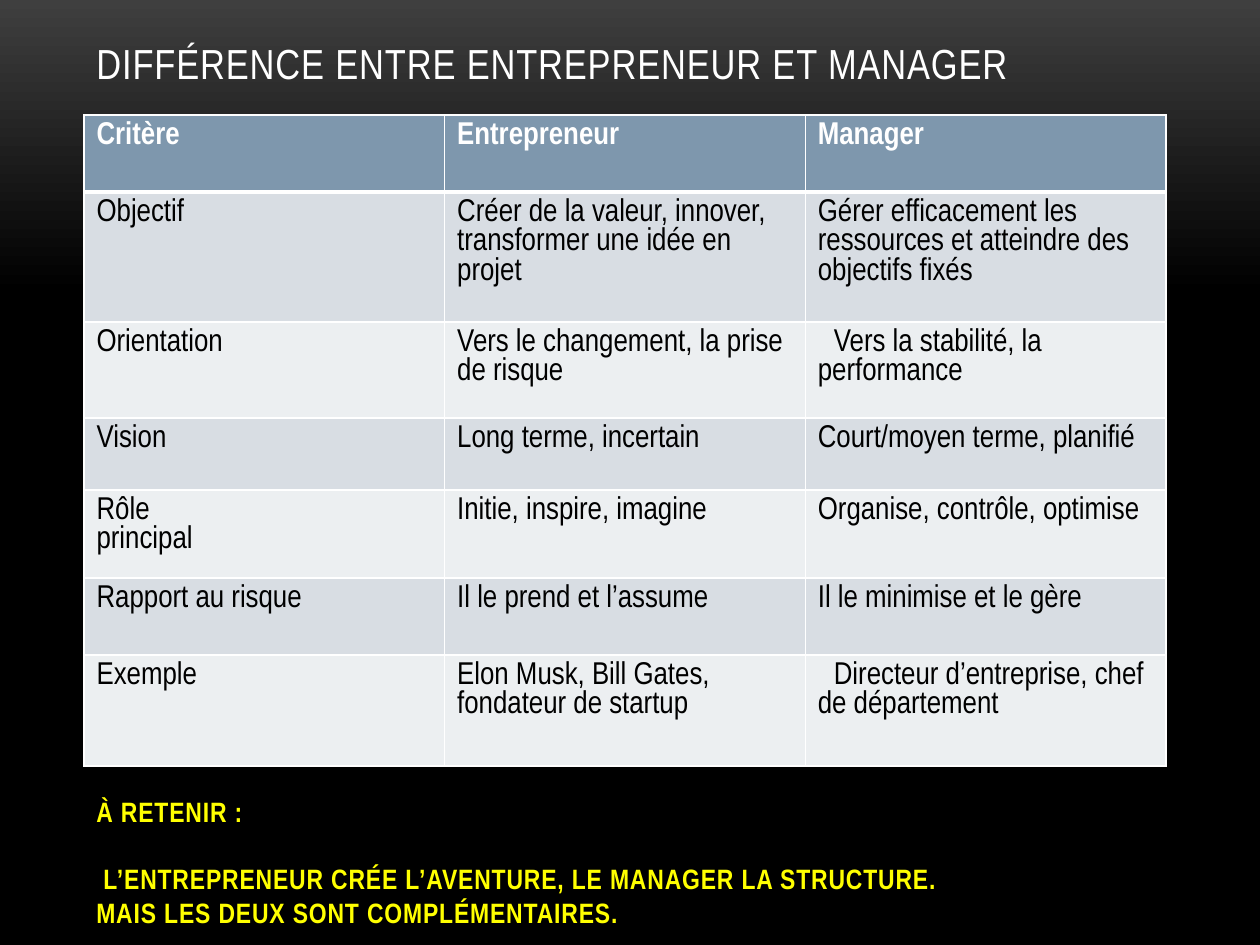
"""Build the slide comparing the entrepreneur with the manager."""
from dataclasses import dataclass

from pptx import Presentation
from pptx.dml.color import RGBColor
from pptx.enum.text import MSO_ANCHOR as Anchor
from pptx.oxml.ns import qn
from pptx.util import Emu, Pt
from lxml.etree import SubElement

SCALE = 914400 / 126
FONT = "Arial Narrow"
WHITE, BLACK, YELLOW = "FFFFFF", "000000", "FFFF00"
HEADER_FILL, ODD_FILL, EVEN_FILL = "7E97AD", "D8DDE3", "ECEFF1"
INDENT = 16


@dataclass(frozen=True)
class Line:
    wording: str
    indent: int = 0
    before: int = 0


@dataclass(frozen=True)
class Style:
    size: int
    color: str
    bold: bool = False
    tracking: int = 0


@dataclass(frozen=True)
class Block:
    left: int
    top: int
    width: int
    height: int
    bottom_margin: int
    style: Style
    lines: tuple[Line, ...]


@dataclass(frozen=True)
class Criterion:
    height: int
    cells: tuple[Line, Line, Line]


TITLE = Block(84, -63, 1092, 157, 6, Style(24, WHITE, tracking=50),
              (Line("DIFFÉRENCE ENTRE ENTREPRENEUR ET MANAGER"),))
TAKEAWAY = Block(84, 866, 1131, 102, 39, Style(16, YELLOW, True, 50), (
    Line("À RETENIR :"),
    Line("L’ENTREPRENEUR CRÉE L’AVENTURE, LE MANAGER LA STRUCTURE.", 7, 19),
    Line("MAIS LES DEUX SONT COMPLÉMENTAIRES."),
))
HEADER_STYLE = Style(18, WHITE, True)
BODY_STYLE = Style(18, BLACK)
CRITERIA = (
    Criterion(77, (Line("Critère"), Line("Entrepreneur"), Line("Manager"))),
    Criterion(130, (
        Line("Objectif"),
        Line("Créer de la valeur, innover, transformer une idée en projet"),
        Line("Gérer efficacement les ressources et atteindre des objectifs fixés"))),
    Criterion(96, (
        Line("Orientation"),
        Line("Vers le changement, la prise de risque"),
        Line("Vers la stabilité, la performance", INDENT))),
    Criterion(72, (Line("Vision"), Line("Long terme, incertain"),
                   Line("Court/moyen terme, planifié"))),
    Criterion(72, (Line("Rôle\vprincipal"), Line("Initie, inspire, imagine"),
                   Line("Organise, contrôle, optimise"))),
    Criterion(77, (Line("Rapport au risque"), Line("Il le prend et l’assume"),
                   Line("Il le minimise et le gère"))),
    Criterion(111, (
        Line("Exemple"),
        Line("Elon Musk, Bill Gates, fondateur de startup"),
        Line("Directeur d’entreprise, chef de département", INDENT))),
)


def px(length: int) -> Emu:
    return Emu(round(length * SCALE))


def rgb(code: str) -> RGBColor:
    return RGBColor.from_string(code)


def write(frame, lines: tuple[Line, ...], style: Style) -> None:
    for index, line in enumerate(lines):
        paragraph = frame.paragraphs[0] if index == 0 else frame.add_paragraph()
        paragraph.text = line.wording
        paragraph.line_spacing = 1.0
        if line.before:
            paragraph.space_before = Pt(line.before)
        if line.indent:
            paragraph._p.get_or_add_pPr().set("indent", str(px(line.indent)))
        formats = {"name": FONT, "size": Pt(style.size), "bold": style.bold}
        for run in paragraph.runs:
            for attribute, setting in formats.items():
                setattr(run.font, attribute, setting)
            run.font.color.rgb = rgb(style.color)
            if style.tracking:
                run._r.get_or_add_rPr().set("spc", str(style.tracking))


def draw_block(slide, block: Block) -> None:
    frame = slide.shapes.add_textbox(
        *map(px, (block.left, block.top, block.width, block.height))).text_frame
    formats = {"word_wrap": True, "vertical_anchor": Anchor.BOTTOM,
               "margin_bottom": px(block.bottom_margin)}
    for attribute, setting in formats.items():
        setattr(frame, attribute, setting)
    write(frame, block.lines, block.style)


def draw_borders(cell, widths: dict[str, int]) -> None:
    properties = cell._tc.get_or_add_tcPr()
    for side, width in widths.items():
        border = SubElement(properties, qn(f"a:ln{side}"), w=str(Pt(width)))
        SubElement(SubElement(border, qn("a:solidFill")), qn("a:srgbClr"), val=WHITE)


def draw_comparison(slide, criteria: tuple[Criterion, ...]) -> None:
    total = sum(criterion.height for criterion in criteria)
    table = slide.shapes.add_table(
        len(criteria), 3, px(84), px(115), px(1082), px(total)).table
    for row, criterion in enumerate(criteria):
        table.rows[row].height = px(criterion.height)
        style = BODY_STYLE if row else HEADER_STYLE
        fill = (ODD_FILL if row % 2 else EVEN_FILL) if row else HEADER_FILL
        widths = {"L": 1, "R": 1, "T": 3 if row == 1 else 1, "B": 1 if row else 3}
        for column, line in enumerate(criterion.cells):
            cell = table.cell(row, column)
            draw_borders(cell, widths)
            cell.fill.solid()
            cell.fill.fore_color.rgb = rgb(fill)
            write(cell.text_frame, (line,), style)


def paint_background(slide) -> None:
    fill = slide.background.fill
    fill.gradient()
    fill.gradient_angle = 270
    for stop, (position, color) in zip(fill.gradient_stops,
                                       ((0, "3F3F3F"), (0.31, BLACK))):
        stop.position = position
        stop.color.rgb = rgb(color)


def main() -> None:
    presentation = Presentation()
    presentation.slide_width, presentation.slide_height = px(1260), px(945)
    slide = presentation.slides.add_slide(presentation.slide_layouts[6])
    paint_background(slide)
    draw_block(slide, TITLE)
    draw_comparison(slide, CRITERIA)
    draw_block(slide, TAKEAWAY)
    presentation.save("out.pptx")


if __name__ == "__main__":
    main()
